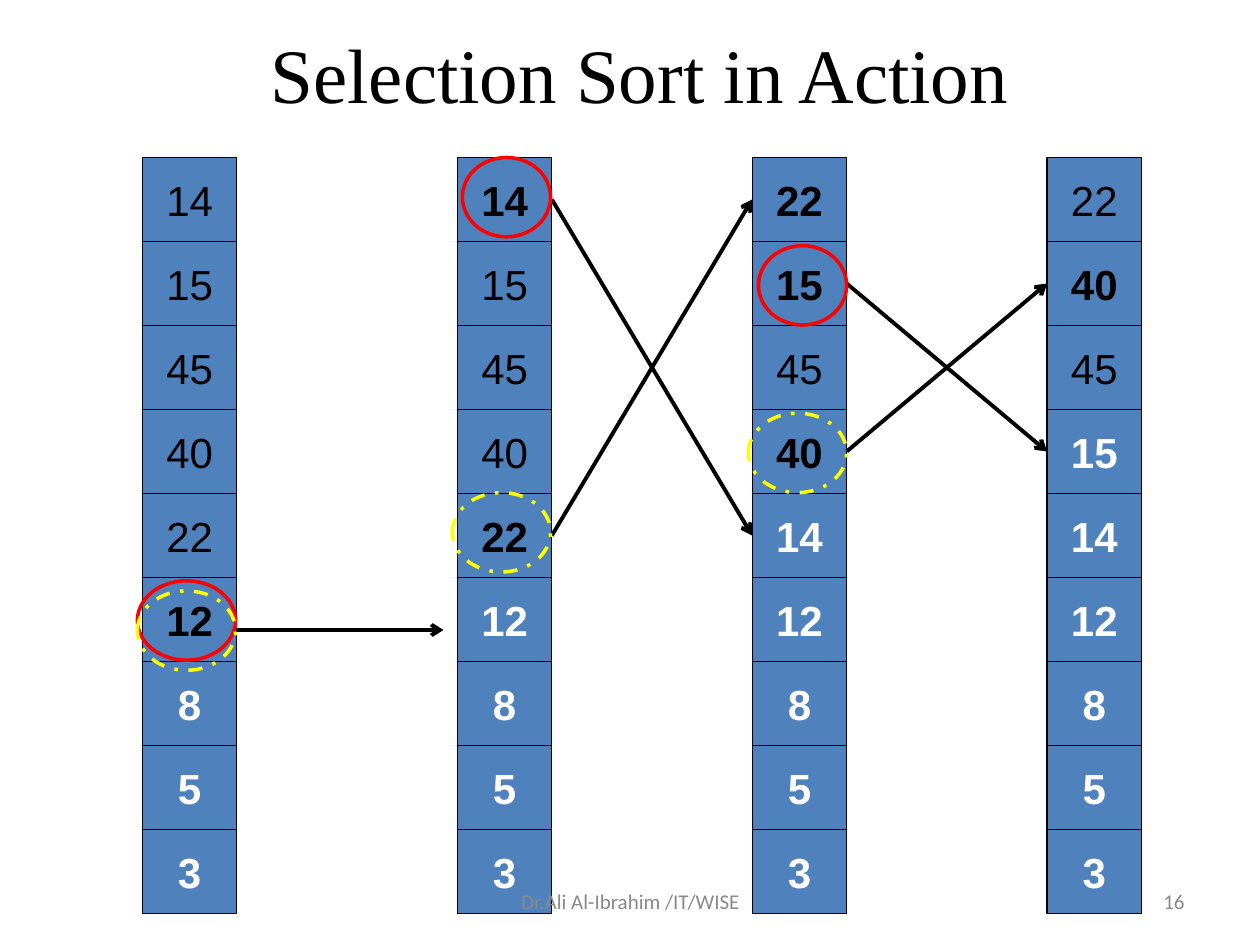
from lxml.etree import SubElement
from pptx import Presentation
from pptx.dml.color import RGBColor
from pptx.enum.dml import MSO_LINE
from pptx.enum.shapes import MSO_CONNECTOR, MSO_SHAPE
from pptx.enum.text import MSO_ANCHOR, PP_ALIGN
from pptx.oxml.ns import qn
from pptx.util import Inches, Pt

BLACK = RGBColor(0x00, 0x00, 0x00)
WHITE = RGBColor(0xFF, 0xFF, 0xFF)
BLUE = RGBColor(0x4F, 0x81, 0xBD)
RED = RGBColor(0xFF, 0x00, 0x00)
YELLOW = RGBColor(0xFF, 0xFF, 0x00)
GRAY = RGBColor(0x89, 0x89, 0x89)

TOP = 1.25
CELL_WIDTH = 0.75
CELL_HEIGHT = 2 / 3

PASSES = [
    {"left": 1.13, "values": [14, 15, 45, 40, 22, 12, 8, 5, 3], "bold": {5}, "sorted_from": 6},
    {"left": 3.63, "values": [14, 15, 45, 40, 22, 12, 8, 5, 3], "bold": {0, 4}, "sorted_from": 5},
    {"left": 5.97, "values": [22, 15, 45, 40, 14, 12, 8, 5, 3], "bold": {0, 1, 3}, "sorted_from": 4},
    {"left": 8.31, "values": [22, 40, 45, 15, 14, 12, 8, 5, 3], "bold": {1}, "sorted_from": 3},
]

SWAPS = [(1, 0, 4), (2, 1, 3)]
STAY_ARROW = (1.88, 5, 3.52, 5)

RINGS = [
    (1.09, 4.61, 0.78, RED, MSO_LINE.SOLID),
    (1.09, 4.69, 0.78, YELLOW, MSO_LINE.DASH_DOT),
    (3.67, 1.25, 0.7, RED, MSO_LINE.SOLID),
    (3.59, 3.91, 0.78, YELLOW, MSO_LINE.DASH_DOT),
    (6.02, 1.95, 0.7, RED, MSO_LINE.SOLID),
    (5.94, 3.28, 0.78, YELLOW, MSO_LINE.DASH_DOT),
]
RING_HEIGHT = 0.63

TITLE_FONT = {"name": "Times New Roman", "size": Pt(44)}
CELL_FONT = {"name": "Arial", "size": Pt(24)}
FOOTER_FONT = {"name": "Calibri", "size": Pt(12)}

LABELS = [
    ("Selection Sort in Action", (0.55, 0.16, 9.06, 0.84), MSO_ANCHOR.TOP, PP_ALIGN.CENTER, TITLE_FONT, BLACK),
    ("16", (7.17, 6.95, 2.33, 0.4), MSO_ANCHOR.MIDDLE, PP_ALIGN.RIGHT, FOOTER_FONT, GRAY),
    ("Dr.Ali Al-Ibrahim /IT/WISE", (3.42, 6.95, 3.17, 0.4), MSO_ANCHOR.MIDDLE, PP_ALIGN.CENTER, FOOTER_FONT, GRAY),
]


def write(box, text, anchor, alignment, font_format, color, wrap=True):
    frame = box.text_frame
    frame.word_wrap = wrap
    frame.vertical_anchor = anchor
    para = frame.paragraphs[0]
    para.alignment = alignment
    span = para.add_run()
    span.text = text
    for attribute, value in font_format.items():
        setattr(span.font, attribute, value)
    span.font.color.rgb = color


def add_column(page, sort_pass):
    for row, value in enumerate(sort_pass["values"]):
        cell = page.shapes.add_shape(
            MSO_SHAPE.RECTANGLE, Inches(sort_pass["left"]), Inches(TOP + row * CELL_HEIGHT),
            Inches(CELL_WIDTH), Inches(CELL_HEIGHT))
        cell.shadow.inherit = False
        cell.fill.solid()
        cell.fill.fore_color.rgb = BLUE
        cell.line.color.rgb = BLACK
        cell.line.width = Pt(0.75)
        is_sorted = row >= sort_pass["sorted_from"]
        font_format = {**CELL_FONT, "bold": is_sorted or row in sort_pass["bold"]}
        write(cell, str(value), MSO_ANCHOR.MIDDLE, PP_ALIGN.CENTER, font_format,
              WHITE if is_sorted else BLACK, wrap=False)


def add_arrow(page, *ends):
    arrow = page.shapes.add_connector(MSO_CONNECTOR.STRAIGHT, *map(Inches, ends))
    arrow.line.color.rgb = BLACK
    arrow.line.width = Pt(2.25)
    SubElement(arrow.line._get_or_add_ln(), qn("a:tailEnd"), type="arrow")
    SubElement(arrow._element.spPr, qn("a:effectLst"))


def add_ring(page, left, top, width, color, dash):
    ring = page.shapes.add_shape(
        MSO_SHAPE.OVAL, Inches(left), Inches(top), Inches(width), Inches(RING_HEIGHT))
    ring.shadow.inherit = False
    ring.fill.background()
    ring.line.color.rgb = color
    ring.line.width = Pt(2)
    ring.line.dash_style = dash


def row_center(row):
    return TOP + (row + 0.5) * CELL_HEIGHT


def main():
    deck = Presentation()
    deck.slide_width, deck.slide_height = Inches(10), Inches(7.5)
    page = deck.slides.add_slide(deck.slide_layouts[6])

    for sort_pass in PASSES:
        add_column(page, sort_pass)

    add_arrow(page, *STAY_ARROW)
    for source, upper, lower in SWAPS:
        start = PASSES[source]["left"] + CELL_WIDTH
        end = PASSES[source + 1]["left"]
        for row_from, row_to in ((upper, lower), (lower, upper)):
            add_arrow(page, start, row_center(row_from), end, row_center(row_to))

    for ring in RINGS:
        add_ring(page, *ring)

    for text, place, *text_format in LABELS:
        write(page.shapes.add_textbox(*map(Inches, place)), text, *text_format)

    deck.save("out.pptx")


if __name__ == "__main__":
    main()
